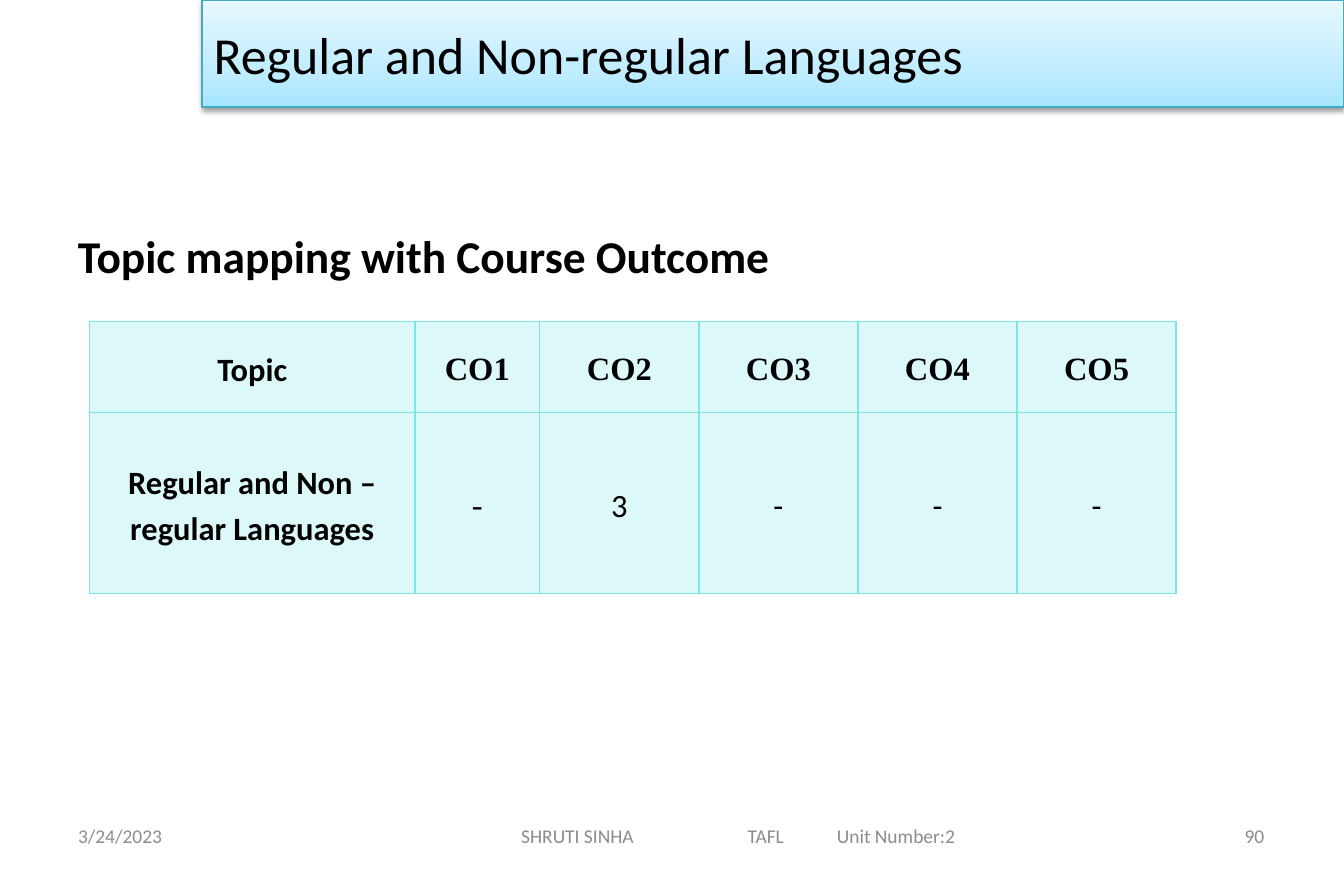
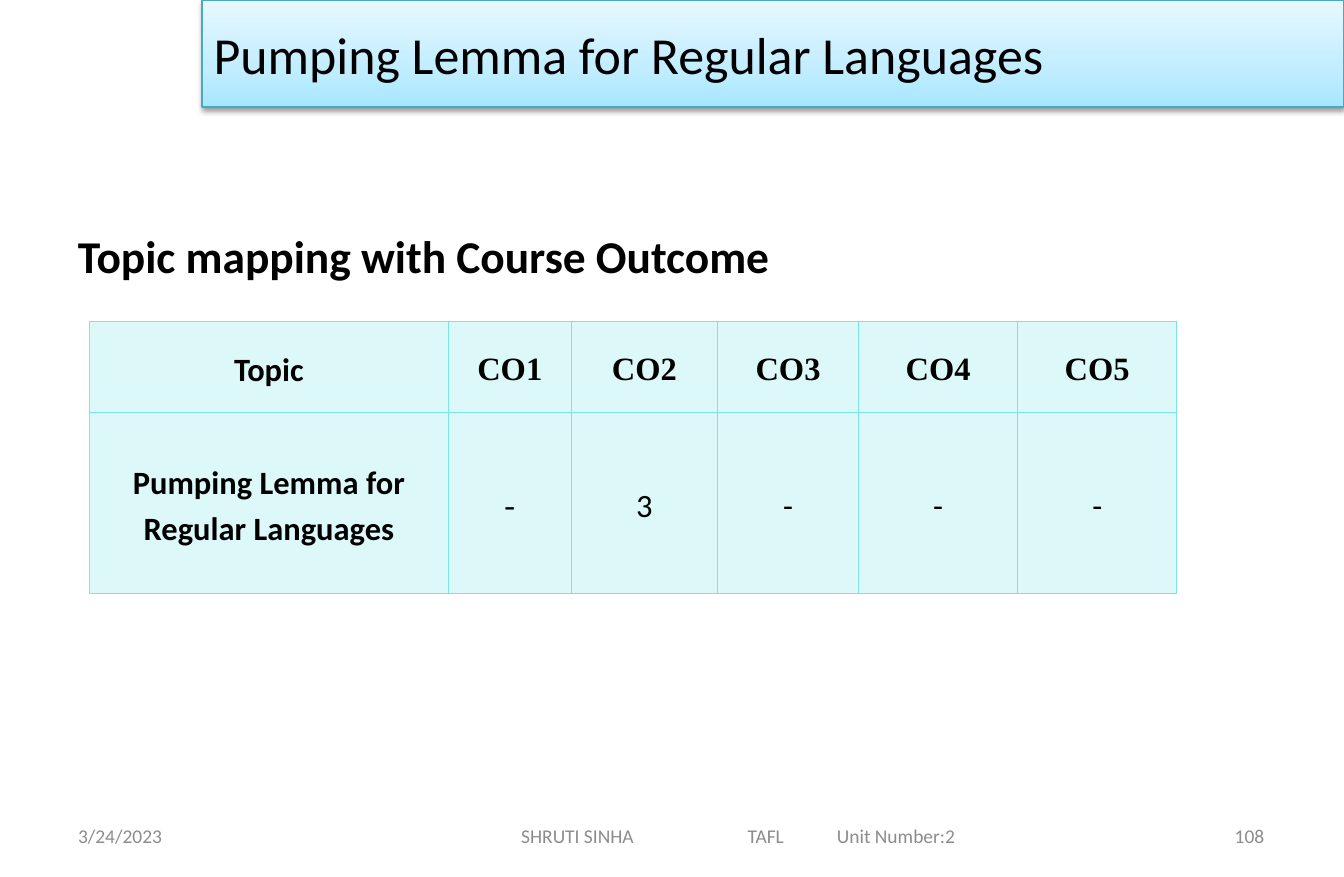
from lxml import etree
from pptx import Presentation
from pptx import util as u
from pptx.dml.color import RGBColor
from pptx.enum import shapes, text
from pptx.oxml import ns

Pt = u.Pt
ALIGN = text.PP_ALIGN
ANCHOR = text.MSO_ANCHOR

COLORS = {
    "ink": "000000",
    "muted": "8C8C8C",
    "band_low": "A7E6FF",
    "band_mid": "C1EDFF",
    "band_high": "E7F8FF",
    "band_line": "46AAC5",
    "table": "7BE5E5",
}
SANS, SERIF = "Calibri", "Times New Roman"

PAGE_W, PAGE_H = 828, 540
BAND_BOX = (124.5, 0, PAGE_W - 124.5, 66)
HEADING_BOX = (41, 137, 745, 42)
TABLE_BOX = (55.2, 198, 669.6, 167.6)
FOOTER_BOX = (41, 500.4, 745, 28.8)
HEADER_ROW_H = 56

FOOTER_DATE = "3/24/2023"
FOOTER_PARTS = ("SHRUTI SINHA", "TAFL", "Unit Number:2")
FOOTER_TABS = (139.5, 194.5)

TOPICS = [
    {"title": "Regular and Non-regular Languages",
     "topic": "Regular and Non –regular Languages",
     "number": 90,
     "columns": (200.4, 77, 98, 98, 98, 98)},
    {"title": "Pumping Lemma for Regular Languages",
     "topic": "Pumping Lemma for Regular Languages",
     "number": 108,
     "columns": (221, 75.8, 90, 87, 98, 98)},
]
OUTCOMES = ("CO1", "CO2", "CO3", "CO4", "CO5")
LEVELS = ("-", "3", "-", "-", "-")


def rgb(name):
    return RGBColor.from_string(COLORS[name])


def add_xml(parent, tag, **attributes):
    return etree.SubElement(parent, ns.qn(tag), attributes)


def write(frame, words, size=20, font=SANS, color="ink", bold=False,
          align=ALIGN.LEFT, anchor=ANCHOR.MIDDLE, spacing=None, after=None):
    """Fill a text frame with one formatted paragraph and return it."""
    frame.word_wrap = True
    frame.vertical_anchor = anchor
    para = frame.paragraphs[0]
    para.alignment = align
    para.line_spacing = spacing
    if after:
        para.space_after = Pt(after)
    span = para.add_run()
    span.text = words
    span.font.size = Pt(size)
    span.font.name = font
    span.font.bold = bold
    span.font.color.rgb = rgb(color)
    return para


def add_text(page, box, words, **style):
    frame = page.shapes.add_textbox(*map(Pt, box)).text_frame
    return write(frame, words, **style)


def add_title_band(page, box, title):
    band = page.shapes.add_shape(shapes.MSO_SHAPE.RECTANGLE, *map(Pt, box))
    band.line.color.rgb = rgb("band_line")
    band.line.width = Pt(0.75)
    band.fill.gradient()
    band.fill.gradient_angle = 90
    properties = band._element.spPr
    stops = properties.find(".//" + ns.qn("a:gsLst"))
    for stop in list(stops):
        stops.remove(stop)
    for percent, name in ((0, "band_low"), (35, "band_mid"), (100, "band_high")):
        stop = add_xml(stops, "a:gs", pos=str(percent * 1000))
        add_xml(stop, "a:srgbClr", val=COLORS[name])
    band.shadow.inherit = False
    shadow = add_xml(properties.find(ns.qn("a:effectLst")), "a:outerShdw",
                     blurRad=str(Pt(3.1)), dist=str(Pt(1.6)),
                     dir="5400000", rotWithShape="0")
    shade = add_xml(shadow, "a:srgbClr", val=COLORS["ink"])
    add_xml(shade, "a:alpha", val="38000")
    write(band.text_frame, title, size=32)


def style_cell(cell):
    """Give a cell its tint, thin borders and insets."""
    cell.margin_left = cell.margin_right = Pt(6.5)
    cell.margin_top = cell.margin_bottom = 0
    cell.fill.solid()
    cell.fill.fore_color.rgb = rgb("table")
    properties = cell._tc.get_or_add_tcPr()
    tint = properties.find(".//" + ns.qn("a:srgbClr"))
    add_xml(tint, "a:alpha", val="25000")
    for position, side in enumerate("LRTB"):
        border = etree.Element(ns.qn("a:ln" + side), w=str(Pt(1)))
        add_xml(add_xml(border, "a:solidFill"), "a:srgbClr", val=COLORS["table"])
        properties.insert(position, border)


def add_outcome_table(page, box, topic, columns):
    rows = (("Topic", *OUTCOMES), (topic, *LEVELS))
    table = page.shapes.add_table(len(rows), len(columns), *map(Pt, box)).table
    table.first_row = table.horz_banding = False
    for column, width in zip(table.columns, columns):
        column.width = Pt(width)
    for row, height in zip(table.rows, (HEADER_ROW_H, box[3] - HEADER_ROW_H)):
        row.height = Pt(height)
    for r, values in enumerate(rows):
        for c, value in enumerate(values):
            cell = table.cell(r, c)
            style_cell(cell)
            is_level = r > 0 and c > 0
            is_serif = c == 1 or (r == 0 and c > 0)
            write(cell.text_frame, value, font=SERIF if is_serif else SANS,
                  bold=not is_level, align=ALIGN.CENTER, spacing=1.15,
                  after=10 if is_level else None)
            cell.vertical_anchor = ANCHOR.MIDDLE


def add_footer(page, box, number):
    left, top, width, height = box
    style = {"size": 12, "color": "muted"}
    add_text(page, (left, top, 193, height), FOOTER_DATE, **style)
    para = add_text(page, (left + 273, top, 290, height),
                    "\t".join(FOOTER_PARTS), **style)
    tabs = add_xml(para._p.get_or_add_pPr(), "a:tabLst")
    for position in FOOTER_TABS:
        add_xml(tabs, "a:tab", pos=str(Pt(position)), algn="l")
    add_text(page, (left + width - 100, top, 100, height), str(number),
             align=ALIGN.RIGHT, **style)


def add_mapping_slide(deck, title, topic, number, columns):
    page = deck.slides.add_slide(deck.slide_layouts[6])
    add_text(page, HEADING_BOX, "Topic mapping with Course Outcome",
             size=28, bold=True, anchor=ANCHOR.TOP)
    add_title_band(page, BAND_BOX, title)
    add_outcome_table(page, TABLE_BOX, topic, columns)
    add_footer(page, FOOTER_BOX, number)


def main():
    deck = Presentation()
    deck.slide_width, deck.slide_height = Pt(PAGE_W), Pt(PAGE_H)
    for topic in TOPICS:
        add_mapping_slide(deck, **topic)
    deck.save("out.pptx")


if __name__ == "__main__":
    main()
